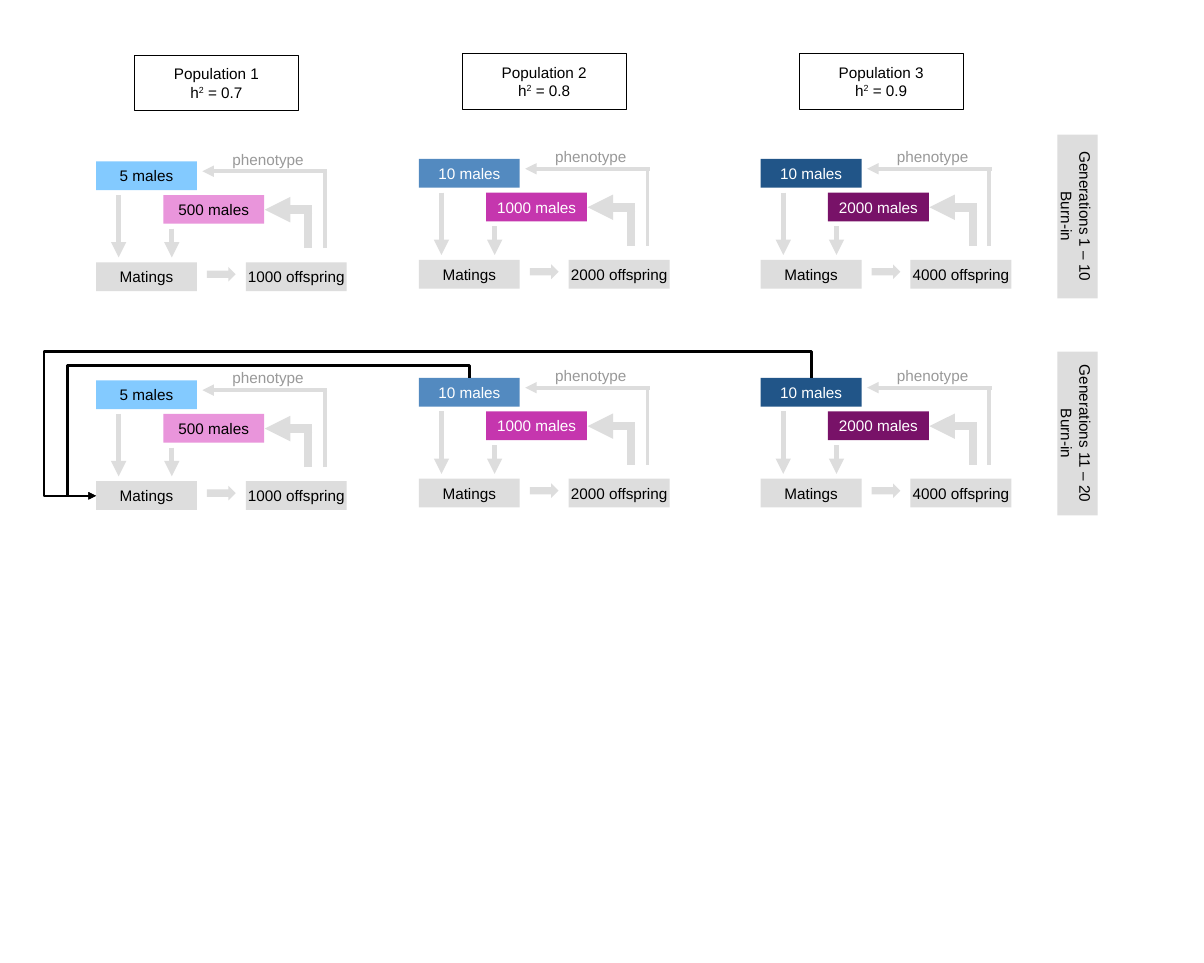
import pptx
import pptx.util
import pptx.dml.color
import pptx.enum.shapes
import pptx.enum.text
import pptx.oxml
import pptx.oxml.ns

Inches = pptx.util.Inches
Color = pptx.dml.color.RGBColor.from_string
Shape = pptx.enum.shapes.MSO_SHAPE
Connector = pptx.enum.shapes.MSO_CONNECTOR
Align = pptx.enum.text.PP_ALIGN
Anchor = pptx.enum.text.MSO_ANCHOR
Fit = pptx.enum.text.MSO_AUTO_SIZE

theme = {
    "font": "Arial",
    "size": 18,
    "ink": "000000",
    "paper": "FFFFFF",
    "gray": "DDDDDD",
    "label": "999999",
    "thin": 4.5,
    "medium": 6,
    "thick": 10,
    "migration": 3,
}

deck = pptx.Presentation()
deck.slide_width = Inches(19.69)
deck.slide_height = Inches(15.75)
page = deck.slides.add_slide(deck.slide_layouts[6])


def add_text(text, left, top, width, height, fill=None, outline=None, color=theme["ink"],
             align=Align.CENTER, anchor=Anchor.MIDDLE, wrap=False, fit=Fit.NONE, rotation=0):
    place = [Inches(value) for value in (left, top, width, height)]
    if fill:
        box = page.shapes.add_shape(Shape.RECTANGLE, *place)
        box.shadow.inherit = False
        box.fill.solid()
        box.fill.fore_color.rgb = Color(fill)
        if outline:
            box.line.color.rgb = Color(outline)
            box.line.width = pptx.util.Pt(0)
        else:
            box.line.fill.background()
    else:
        box = page.shapes.add_textbox(*place)
    box.rotation = rotation
    frame = box.text_frame
    frame.word_wrap = wrap
    frame.auto_size = fit
    frame.vertical_anchor = anchor
    para = frame.paragraphs[0]
    para.alignment = align
    for row, line in enumerate(text.split("\n")):
        if row:
            para.add_line_break()
        for index, piece in enumerate(line.split("^")):
            span = para.add_run()
            span.text = piece
            span.font.name = theme["font"]
            span.font.size = pptx.util.Pt(theme["size"])
            span.font.color.rgb = Color(color)
            if index % 2:
                span.font._element.set("baseline", "33000")


def add_line(start, end, width, color=theme["gray"], arrow=False, kind=Connector.STRAIGHT):
    line = page.shapes.add_connector(kind, *[Inches(value) for value in (*start, *end)])
    line.line.color.rgb = Color(color)
    line.line.width = pptx.util.Pt(width)
    if arrow:
        tail = pptx.oxml.parse_xml(f'<a:tailEnd {pptx.oxml.ns.nsdecls("a")} type="triangle"/>')
        line.line._get_or_add_ln().append(tail)
    effects = pptx.oxml.parse_xml(f'<a:effectLst {pptx.oxml.ns.nsdecls("a")}/>')
    line._element.spPr.append(effects)
    return line


populations = [
    {"left": 1.57, "top": 2.64, "header": (2.2, 0.9), "heritability": "0.7", "text": theme["ink"],
     "sires": ("5 males", "83CAFF"), "dams": ("500 males", "E995DB"), "offspring": 1000},
    {"left": 6.85, "top": 2.6, "header": (7.56, 0.88), "heritability": "0.8", "text": theme["paper"],
     "sires": ("10 males", "538AC0"), "dams": ("1000 males", "C536AE"), "offspring": 2000},
    {"left": 12.44, "top": 2.6, "header": (13.07, 0.88), "heritability": "0.9", "text": theme["paper"],
     "sires": ("10 males", "215588"), "dams": ("2000 males", "781268"), "offspring": 4000},
]
flows = [
    ((3.74, 1.42), (3.74, 0.16), theme["thin"], False),
    ((3.78, 0.16), (1.74, 0.16), theme["thin"], True),
    ((3.47, 1.42), (3.47, 0.79), theme["thick"], False),
    ((3.54, 0.79), (2.76, 0.79), theme["thick"], True),
    ((1.24, 1.1), (1.24, 1.57), theme["medium"], True),
    ((0.37, 0.55), (0.37, 1.57), theme["medium"], True),
]
period_step = 3.58
box_width, box_height = 1.65, 0.47

for number, population in enumerate(populations, 1):
    add_text(f"Population {number}\nh^2^ = {population['heritability']}", *population["header"],
             2.68, 0.91, fill=theme["paper"], outline=theme["ink"])

for period, generations in enumerate(["1 – 10", "11 – 20"]):
    for population in populations:
        left = population["left"]
        top = population["top"] + period * period_step
        stages = [
            (*population["sires"], population["text"], 0, 0),
            (*population["dams"], population["text"], 1.1, 0.55),
            ("Matings", theme["gray"], theme["ink"], 0, 1.65),
            (f"{population['offspring']} offspring", theme["gray"], theme["ink"], 2.45, 1.65),
        ]
        for text, fill, color, across, down in stages:
            add_text(text, left + across, top + down, box_width, box_height, fill=fill, color=color)

        birth = page.shapes.add_shape(Shape.DOWN_ARROW, Inches(left + 1.93), Inches(top + 1.61),
                                      Inches(0.24), Inches(0.47))
        birth.rotation = 270
        birth.shadow.inherit = False
        birth.fill.solid()
        birth.fill.fore_color.rgb = Color(theme["gray"])
        birth.line.fill.background()

        for start, end, width, arrow in flows:
            add_line((left + start[0], top + start[1]), (left + end[0], top + end[1]), width, arrow=arrow)
        add_text("phenotype", left + 2.13, top - 0.24, box_width, 0.38, color=theme["label"],
                 align=Align.LEFT, anchor=Anchor.TOP, wrap=True, fit=Fit.SHAPE_TO_FIT_TEXT)

    add_text(f"Generations {generations}\nBurn-in", 16.28, 3.21 + period * 3.55, 2.68, 0.66,
             fill=theme["gray"], anchor=Anchor.TOP, wrap=True, fit=Fit.SHAPE_TO_FIT_TEXT, rotation=90)

target_x, target_y = 1.57, 8.11
source_y = 6.18
for source_x, lane_x, lane_y in [(7.68, 1.1, 5.98), (13.27, 0.71, 5.75)]:
    drop = target_y - source_y
    reach = source_x - target_x
    migration = add_line((source_x, source_y), (target_x, target_y), theme["migration"],
                         color=theme["ink"], arrow=True, kind=Connector.ELBOW)
    properties = migration._element.spPr
    transform = properties.find(pptx.oxml.ns.qn("a:xfrm"))
    transform.attrib.pop("flipH", None)
    transform.set("rot", "5400000")
    migration.left = Inches((source_x + target_x - drop) / 2)
    migration.top = Inches((source_y + target_y - reach) / 2)
    migration.width = Inches(drop)
    migration.height = Inches(reach)
    bends = [(lane_y - source_y) / drop, (source_x - lane_x) / reach]
    guides = "".join(f'<a:gd name="adj{index}" fmla="val {round(bend * 100000)}"/>'
                     for index, bend in enumerate(bends, 1))
    geometry = pptx.oxml.parse_xml(f'<a:prstGeom {pptx.oxml.ns.nsdecls("a")} prst="bentConnector4">'
                                   f'<a:avLst>{guides}</a:avLst></a:prstGeom>')
    properties.replace(properties.find(pptx.oxml.ns.qn("a:prstGeom")), geometry)

deck.save("out.pptx")
